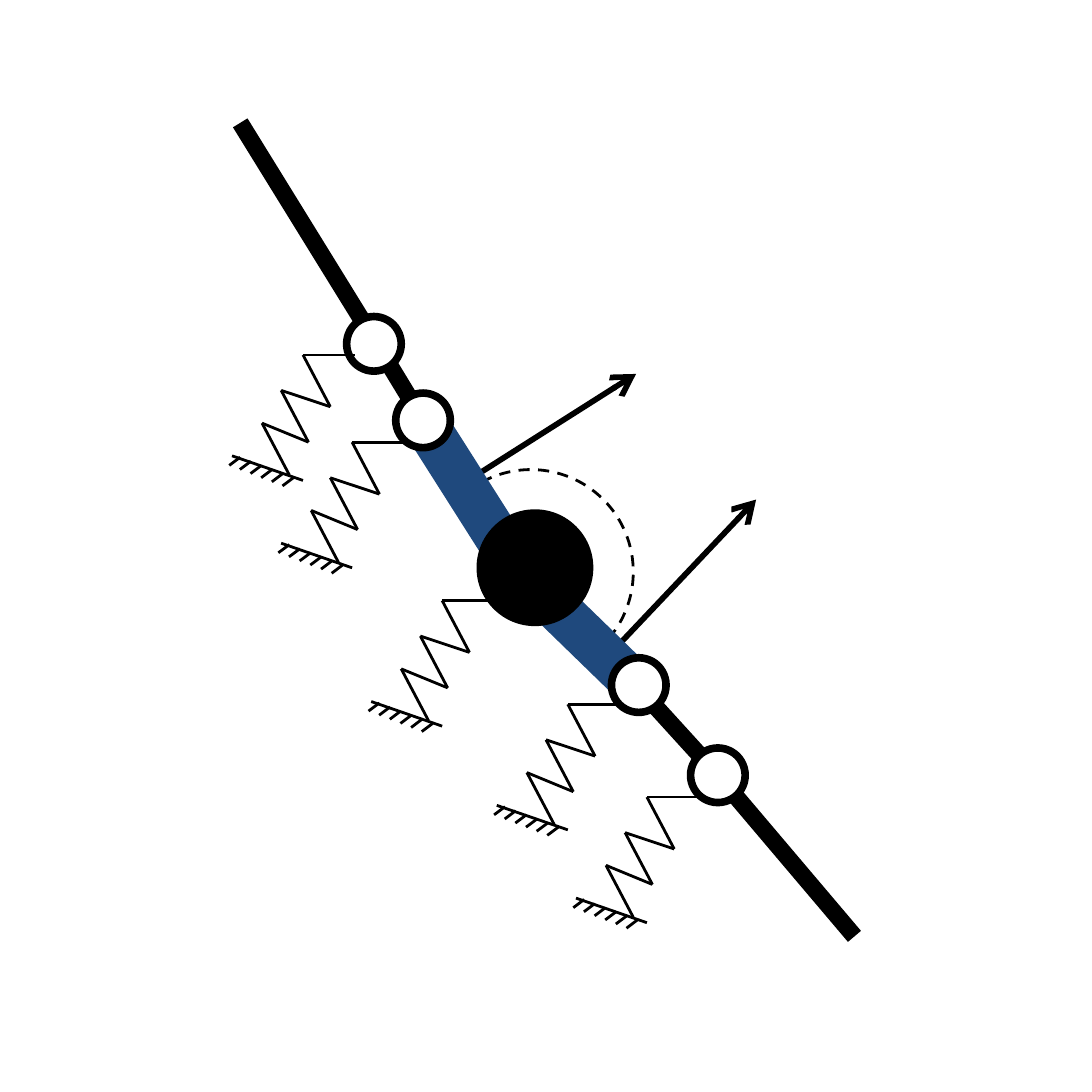
from lxml.etree import SubElement
from pptx import Presentation
from pptx.dml.color import RGBColor
from pptx.enum.dml import MSO_LINE
from pptx.enum.shapes import MSO_CONNECTOR, MSO_SHAPE
from pptx.oxml.ns import qn
from pptx.util import Inches, Pt

COLORS = {"black": "000000", "white": "FFFFFF", "blue": "1F497D"}

ANGLE_ARC = {"center": (1.945, 2.095), "diameter": 0.75, "angles": (144.676, 24.177)}
NORMAL_ARROWS = [((1.73, 1.75), (2.33, 1.37)), ((2.24, 2.39), (2.77, 1.83))]
LINKS = [
    ((1.38, 1.26), (1.55, 1.54), "black", 4.5, None),
    ((1.55, 1.54), (1.95, 2.17), "blue", 12, None),
    ((1.38, 1.26), (0.88, 0.45), "black", 4.5, None),
    ((2.33, 2.51), (1.98, 2.17), "blue", 12, MSO_LINE.SQUARE_DOT),
    ((2.63, 2.84), (2.33, 2.51), "black", 4.5, None),
    ((3.13, 3.43), (2.63, 2.84), "black", 4.5, None),
]
JOINTS = [
    ((1.96, 2.08), 0.43, "black"),
    ((2.34, 2.51), 0.2, "white"),
    ((1.55, 1.54), 0.2, "white"),
    ((2.63, 2.84), 0.2, "white"),
    ((1.37, 1.26), 0.2, "white"),
]
JOINTS[0] = ((1.96, 2.08), 0.4, "black")

SPRING_TOPS = [(1.11, 1.3), (1.29, 1.62), (1.62, 2.2), (2.08, 2.58), (2.37, 2.92)]
SPRING_COIL = [(0.19, 0), (0, 0), (0.1, 0.19), (-0.08, 0.13),
               (0.02, 0.32), (-0.15, 0.25), (-0.05, 0.44)]
GROUND = ((-0.26, 0.37), (0, 0.46))
HATCH_COUNT = 6
HATCH_START = (-0.035, 0.45)
HATCH_STEP = (-0.039, -0.015)
HATCH_STROKE = (-0.04, 0.03)


def color(name):
    return RGBColor.from_string(COLORS[name])


def add_line(shapes, start, end, line_color="black", width=0.75, dash=None, arrow=False):
    points = [Inches(value) for value in (*start, *end)]
    connector = shapes.add_connector(MSO_CONNECTOR.STRAIGHT, *points)
    connector.line.color.rgb = color(line_color)
    connector.line.width = Pt(width)
    if dash:
        connector.line.dash_style = dash
    if arrow:
        SubElement(connector.line._get_or_add_ln(), qn("a:tailEnd"), type="arrow")
    SubElement(connector._element.spPr, qn("a:effectLst"))


def add_round(shapes, preset, center, diameter, width, fill=None):
    left, top = (Inches(value - diameter / 2) for value in center)
    shape = shapes.add_shape(preset, left, top, Inches(diameter), Inches(diameter))
    shape.shadow.inherit = False
    if fill:
        shape.fill.solid()
        shape.fill.fore_color.rgb = color(fill)
    else:
        shape.fill.background()
    shape.line.color.rgb = color("black")
    shape.line.width = Pt(width)
    return shape


def shift(point, offset, times=1):
    return tuple(value + times * change for value, change in zip(point, offset))


def add_spring(slide, top):
    shapes = slide.shapes.add_group_shape().shapes
    strokes = list(zip(SPRING_COIL, SPRING_COIL[1:])) + [GROUND]
    for index in range(HATCH_COUNT):
        start = shift(HATCH_START, HATCH_STEP, index)
        strokes.append((start, shift(start, HATCH_STROKE)))
    for start, end in strokes:
        add_line(shapes, shift(top, start), shift(top, end))


def main():
    presentation = Presentation()
    presentation.slide_width = presentation.slide_height = Inches(4)
    slide = presentation.slides.add_slide(presentation.slide_layouts[6])

    arc = add_round(slide.shapes, MSO_SHAPE.ARC, ANGLE_ARC["center"], ANGLE_ARC["diameter"], 0.75)
    arc.line.dash_style = MSO_LINE.DASH
    for index, angle in enumerate(ANGLE_ARC["angles"]):
        arc.adjustments[index] = angle

    for start, end in NORMAL_ARROWS:
        add_line(slide.shapes, start, end, width=1.5, arrow=True)
    for start, end, line_color, width, dash in LINKS:
        add_line(slide.shapes, start, end, line_color, width, dash)
    for center, diameter, fill in JOINTS:
        add_round(slide.shapes, MSO_SHAPE.OVAL, center, diameter, 2, fill)
    for top in SPRING_TOPS:
        add_spring(slide, top)

    presentation.save("out.pptx")


if __name__ == "__main__":
    main()
